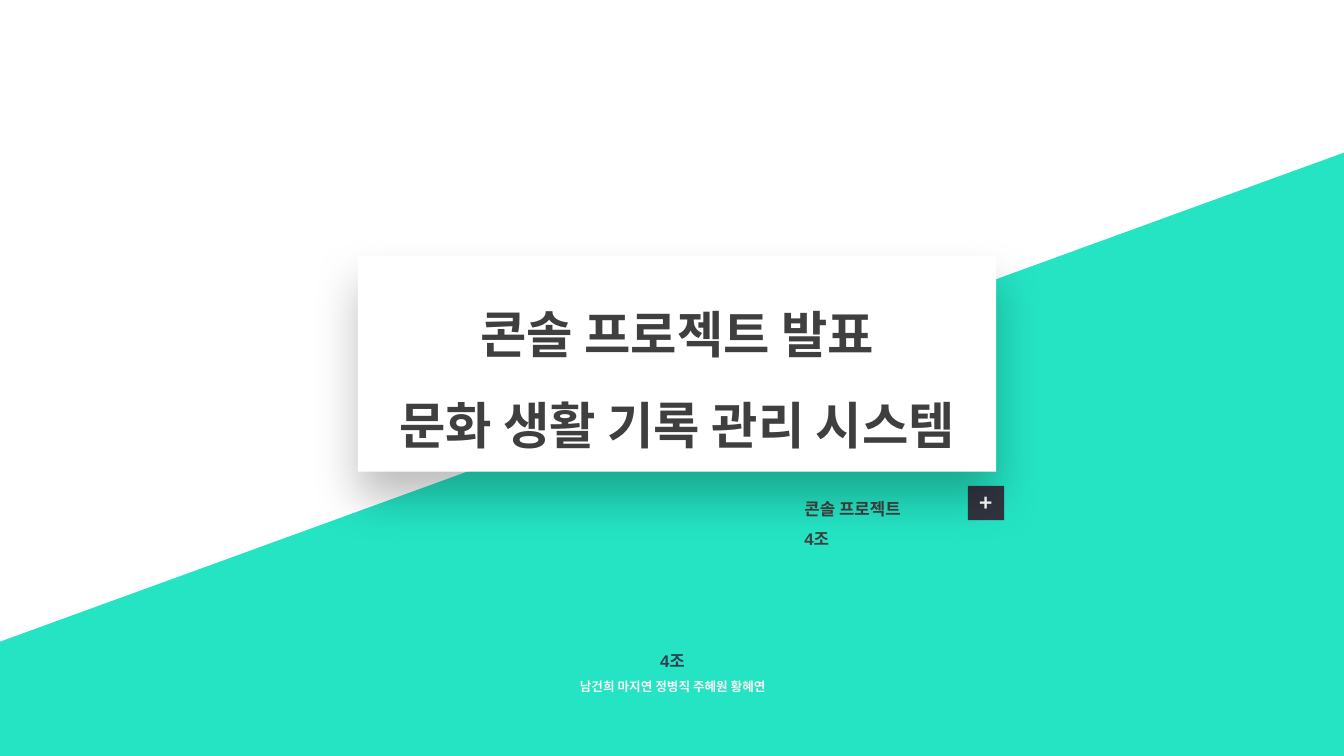
from lxml import etree
from pptx import Presentation
from pptx import util as u
from pptx.dml.color import RGBColor
from pptx.enum import shapes, text
from pptx.oxml import ns

COLORS = {"mint": "24E4C4", "navy": "313540", "ink": "3F3F3F", "slate": "323F4F",
          "pale": "F2F2F2", "white": "FFFFFF", "shade": "000000"}


class CoverSlide:
    """Hold the deck style and place elements by percent of the slide size."""

    latin, korean = "Arial", "Noto Sans CJK KR"

    def __init__(self, deck):
        self.width, self.height = deck.slide_width, deck.slide_height
        self.slide = deck.slides.add_slide(deck.slide_layouts[6])
        fill = self.slide.background.fill
        fill.solid()
        fill.fore_color.rgb = self.color("white")

    def color(self, name):
        return RGBColor.from_string(COLORS[name])

    def place(self, left, top, width, height):
        sizes = (self.width, self.height) * 2
        return [u.Emu(round(size * share / 100))
                for size, share in zip(sizes, (left, top, width, height))]

    def panel(self, area, color, rotation=0):
        panel = self.slide.shapes.add_shape(shapes.MSO_SHAPE.RECTANGLE, *self.place(*area))
        panel.rotation = rotation
        panel.shadow.inherit = False
        panel.fill.solid()
        panel.fill.fore_color.rgb = self.color(color)
        panel.line.fill.background()
        return panel

    def label(self, area, lines, **style):
        box = self.slide.shapes.add_textbox(*self.place(*area))
        self.add_lines(box, lines, **style)
        return box

    def add_lines(self, shape, lines, align=text.PP_ALIGN.CENTER, spacing=1.5,
                  anchor=text.MSO_ANCHOR.TOP, font=latin):
        frame = shape.text_frame
        frame.word_wrap = True
        frame.vertical_anchor = anchor
        for index, (wording, size, color) in enumerate(lines):
            paragraph = frame.add_paragraph() if index else frame.paragraphs[0]
            paragraph.alignment = align
            paragraph.line_spacing = spacing
            run = paragraph.add_run()
            run.text = wording
            run.font.size = u.Pt(size)
            run.font.bold = True
            run.font.color.rgb = self.color(color)
            run.font.name = font
            east_asian = etree.SubElement(run.font._element, ns.qn("a:ea"))
            east_asian.set("typeface", self.korean)

    def cast_shadow(self, shape, blur, distance, opacity):
        effects = shape._element.spPr.find(ns.qn("a:effectLst"))
        shadow = etree.SubElement(
            effects, ns.qn("a:outerShdw"), blurRad=str(u.Pt(blur)),
            dist=str(u.Pt(distance)), dir="5400000", algn="ctr", rotWithShape="0")
        tint = etree.SubElement(shadow, ns.qn("a:srgbClr"), val=COLORS["shade"])
        etree.SubElement(tint, ns.qn("a:alpha"), val=str(opacity * 1000))


def main():
    deck = Presentation()
    deck.slide_width, deck.slide_height = u.Inches(13.33), u.Inches(7.5)
    cover = CoverSlide(deck)
    middle = text.MSO_ANCHOR.MIDDLE

    cover.panel((0.6, 48.53, 119.88, 87.73), "mint", rotation=340)

    plus_badge = cover.panel((72.02, 64.27, 2.7, 4.53), "navy")
    cover.add_lines(plus_badge, [("+", 16, "white")], spacing=1, anchor=middle,
                    font=cover.korean)

    team_note = cover.label((59.11, 64, 12.9, 8.93),
                            [("콘솔 프로젝트", 12, "ink"), ("4조", 12, "ink")],
                            align=text.PP_ALIGN.LEFT)
    team_note.text_frame.auto_size = text.MSO_AUTO_SIZE.SHAPE_TO_FIT_TEXT

    title_card = cover.panel((26.63, 33.87, 47.49, 28.53), "white")
    cover.cast_shadow(title_card, blur=34, distance=19, opacity=25)
    cover.add_lines(title_card, [("콘솔 프로젝트 발표", 36, "ink"),
                                 ("문화 생활 기록 관리 시스템", 36, "ink")], anchor=middle)

    cover.label((36.76, 84.13, 26.56, 11.07),
                [("4조", 12, "slate"), ("남건희 마지연 정병직 주혜원 황혜연", 9, "pale")])

    deck.save("out.pptx")


if __name__ == "__main__":
    main()
